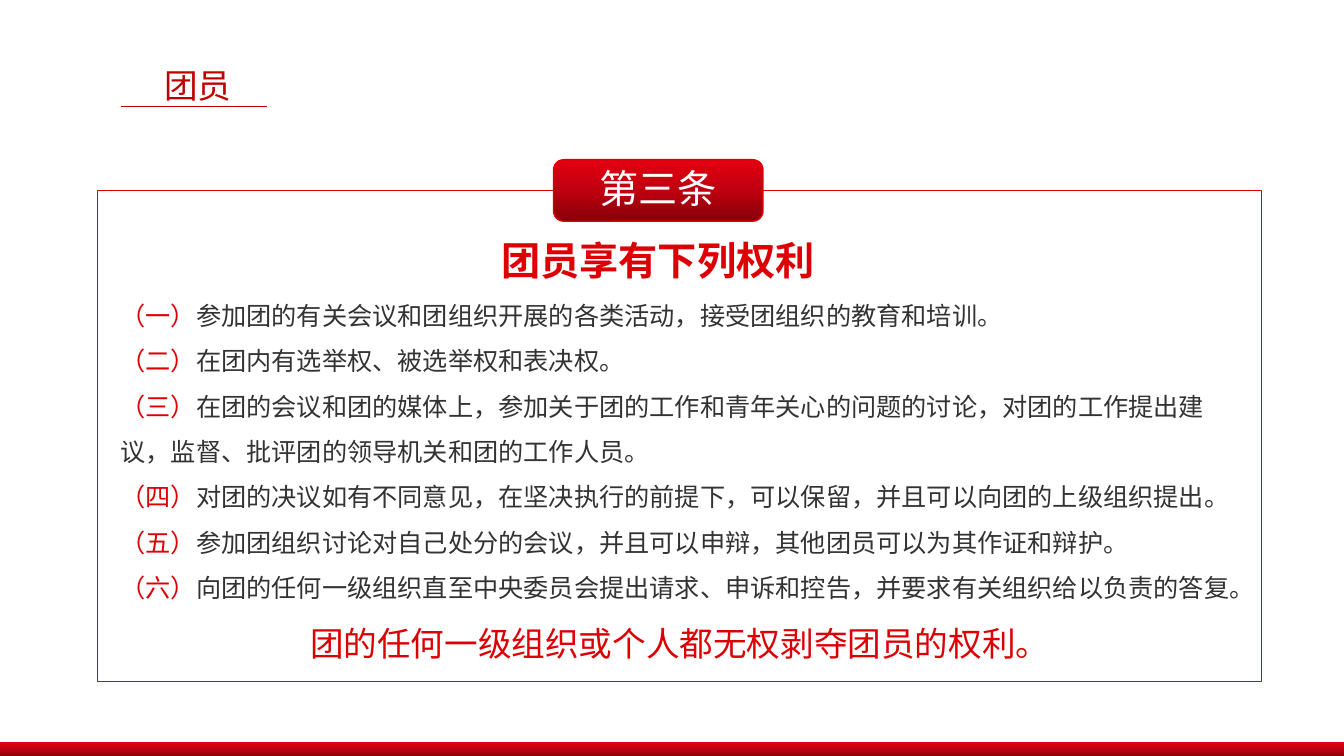
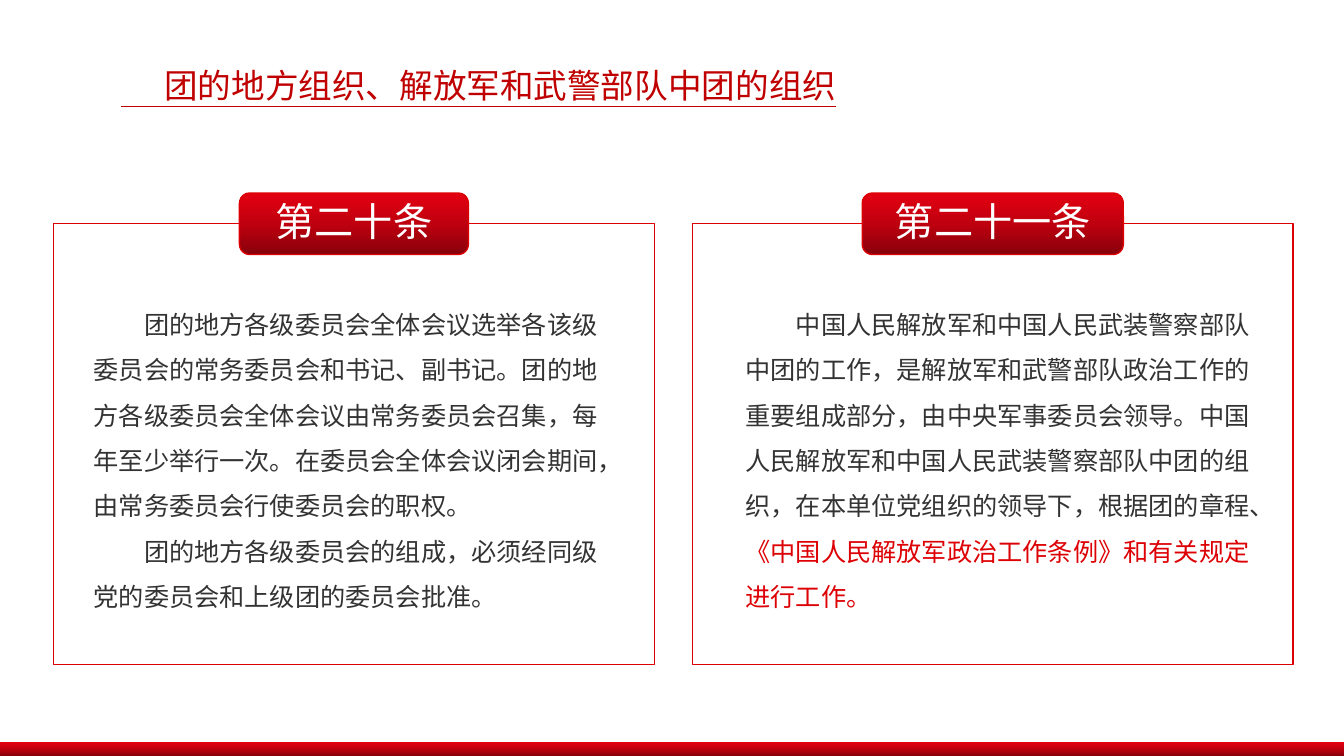
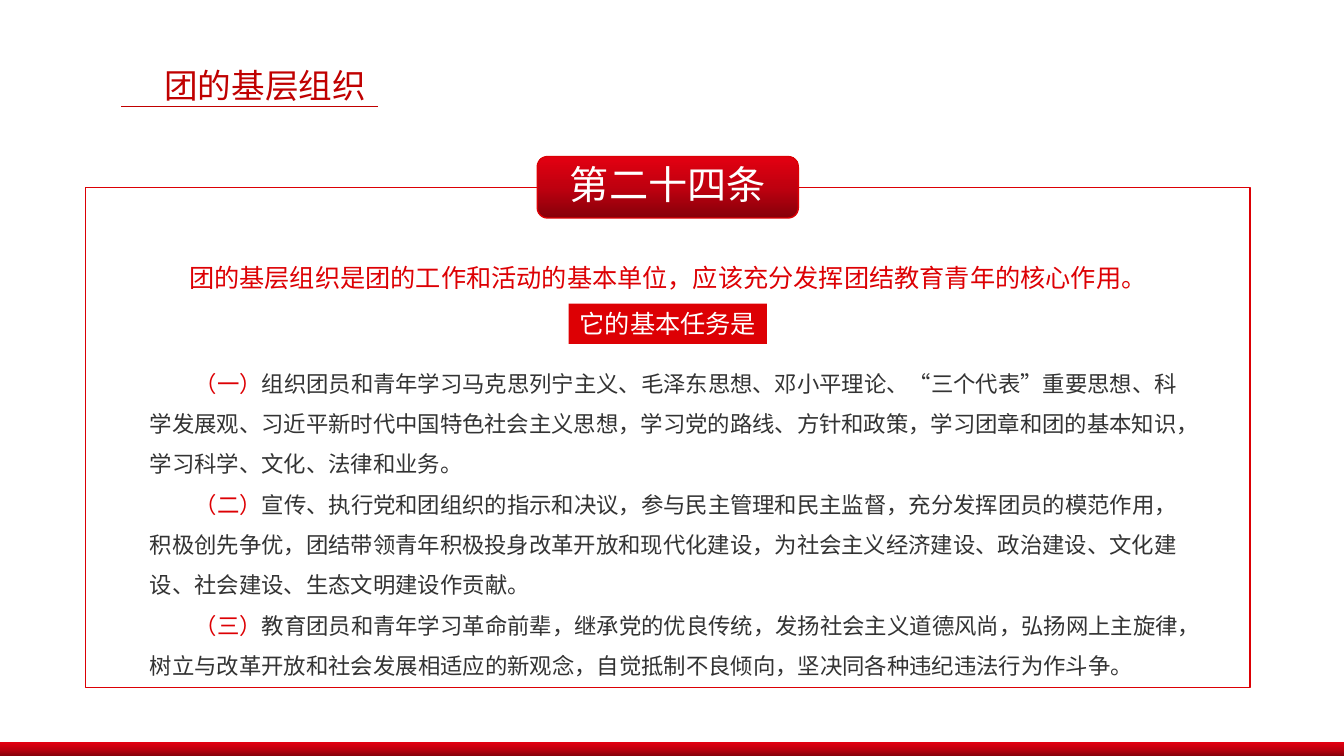
import copy

import pptx
import pptx.dml.color
import pptx.enum.lang
import pptx.enum.shapes
import pptx.enum.text
import pptx.oxml
import pptx.oxml.ns
import pptx.util

Cm, Pt = pptx.util.Cm, pptx.util.Pt
SHAPE = pptx.enum.shapes.MSO_SHAPE
ALIGN = pptx.enum.text.PP_ALIGN
ANCHOR = pptx.enum.text.MSO_ANCHOR

FONT = "Noto Sans CJK SC"
RED, LABEL_RED, TITLE_RED = "DC0005", "DD0004", "C00000"
INK, WHITE = "333333", "FFFFFF"
GRADIENT = [(0, "86000A"), (0.5, "BF000F"), (1, "E30011")]
SLIDE_W, SLIDE_H = 33.87, 19.05
BADGE_H = 1.55

# Content: all places are (left, top, width, height) in cm
RIGHTS = [
    ("（一）", "参加团的有关会议和团组织开展的各类活动，接受团组织的教育和培训。"),
    ("（二）", "在团内有选举权、被选举权和表决权。"),
    ("（三）", "在团的会议和团的媒体上，参加关于团的工作和青年关心的问题的讨论，对团的工作提出建\n"
              "议，监督、批评团的领导机关和团的工作人员。"),
    ("（四）", "对团的决议如有不同意见，在坚决执行的前提下，可以保留，并且可以向团的上级组织提出。"),
    ("（五）", "参加团组织讨论对自己处分的会议，并且可以申辩，其他团员可以为其作证和辩护。"),
    ("（六）", "向团的任何一级组织直至中央委员会提出请求、申诉和控告，并要求有关组织给以负责的答复。"),
]
RIGHTS_CLOSING = "团的任何一级组织或个人都无权剥夺团员的权利。"

LOCAL_COMMITTEES = [
    [("团的地方各级委员会全体会议选举各该级委员会的常务委员会和书记、副书记。"
      "团的地方各级委员会全体会议由常务委员会召集，每年至少举行一次。"
      "在委员会全体会议闭会期间，由常务委员会行使委员会的职权。", INK)],
    [("团的地方各级委员会的组成，必须经同级党的委员会和上级团的委员会批准。", INK)],
]
ARMED_FORCES = [
    [("中国人民解放军和中国人民武装警察部队中团的工作，是解放军和武警部队政治工作的重要组成部分，"
      "由中央军事委员会领导。中国人民解放军和中国人民武装警察部队中团的组织，"
      "在本单位党组织的领导下，根据团的章程、", INK),
     ("《中国人民解放军政治工作条例》和有关规定进行工作。", LABEL_RED)],
]

TASKS = [
    ("（一）", "组织团员和青年学习马克思列宁主义、毛泽东思想、邓小平理论、“三个代表”重要思想、"
              "科学发展观、习近平新时代中国特色社会主义思想，学习党的路线、方针和政策，"
              "学习团章和团的基本知识，学习科学、文化、法律和业务。"),
    ("（二）", "宣传、执行党和团组织的指示和决议，参与民主管理和民主监督，充分发挥团员的模范作用，"
              "积极创先争优，团结带领青年积极投身改革开放和现代化建设，为社会主义经济建设、政治建设、"
              "文化建设、社会建设、生态文明建设作贡献。"),
    ("（三）", "教育团员和青年学习革命前辈，继承党的优良传统，发扬社会主义道德风尚，弘扬网上主旋律，"
              "树立与改革开放和社会发展相适应的新观念，自觉抵制不良倾向，"
              "坚决同各种违纪违法行为作斗争。"),
]

SLIDES = [
    {"title": "团员", "rule_end": 6.73,
     "frames": [{"at": (2.46, 4.8, 29.34, 12.37), "article": "第三条",
                 "badge_w": 5.28, "badge_mid": 16.59}],
     "texts": [
         {"at": (2.79, 7.06, 28.68, 11.02), "size": 18, "spacing": 1.5,
          "paragraphs": [[(mark, RED), (right, INK)] for mark, right in RIGHTS]
          + [{"size": 24, "align": ALIGN.CENTER, "runs": [(RIGHTS_CLOSING, RED)]}]},
         {"at": (12.34, 5.84, 8.48, 1.45), "size": 28, "bold": True, "wrap": False,
          "align": ALIGN.CENTER, "paragraphs": [[("团员享有下列权利", RED)]]},
     ]},
    {"title": "团的地方组织、解放军和武警部队中团的组织", "rule_end": 21.08,
     "frames": [{"at": (1.35, 5.64, 15.14, 11.1), "article": "第二十条", "badge_w": 5.77},
                {"at": (17.45, 5.64, 15.14, 11.1), "article": "第二十一条", "badge_w": 6.58}],
     "texts": [
         {"at": (2.11, 7.29, 13.61, 8.33), "size": 18, "spacing": 1.5, "indent": 2,
          "paragraphs": LOCAL_COMMITTEES},
         {"at": (18.54, 7.29, 13.36, 8.33), "size": 18, "spacing": 1.5, "indent": 2,
          "paragraphs": ARMED_FORCES},
     ]},
    {"title": "团的基层组织", "rule_end": 9.53,
     "frames": [{"at": (2.16, 4.72, 29.34, 12.6), "article": "第二十四条", "badge_w": 6.58}],
     "texts": [
         {"at": (2.49, 6.1, 28.68, 1.27), "size": 18, "spacing": 1.5, "align": ALIGN.CENTER,
          "paragraphs": [[("团的基层组织是团的工作和活动的基本单位，"
                           "应该充分发挥团结教育青年的核心作用。", LABEL_RED)]]},
         {"at": (14.33, 7.65, 5, 1.02), "size": 18, "fill": LABEL_RED, "wrap": False,
          "align": ALIGN.CENTER, "paragraphs": [[("它的基本任务是", WHITE)]]},
         {"at": (3.53, 8.86, 26.59, 8.46), "size": 16, "spacing": 1.5, "indent": 2,
          "paragraphs": [[(mark, LABEL_RED), (task, INK)] for mark, task in TASKS]},
     ]},
]


def rgb(code):
    return pptx.dml.color.RGBColor.from_string(code)


def set_all(target, values):
    for name, value in values.items():
        setattr(target, name, value)


def style_run(run, size, color, bold=False):
    set_all(run.font, {"name": FONT, "size": Pt(size), "bold": bold,
                       "language_id": pptx.enum.lang.MSO_LANGUAGE_ID.SIMPLIFIED_CHINESE})
    run.font.color.rgb = rgb(color)
    east_asian = pptx.oxml.parse_xml(
        f'<a:ea {pptx.oxml.ns.nsdecls("a")} typeface="{FONT}"/>')
    run.font._element.find(pptx.oxml.ns.qn("a:latin")).addnext(east_asian)


def write(frame, paragraphs, size, align=ALIGN.LEFT, spacing=1, indent=0, bold=False):
    """Fill a text frame; indent counts characters, a newline is a soft break."""
    for number, content in enumerate(paragraphs):
        own = content if isinstance(content, dict) else {"runs": content}
        text_size = own.get("size", size)
        paragraph = frame.add_paragraph() if number else frame.paragraphs[0]
        set_all(paragraph, {"alignment": own.get("align", align), "line_spacing": spacing})
        if indent:
            paragraph._p.get_or_add_pPr().set("indent", str(Pt(indent * text_size)))
        for text, color in own["runs"]:
            for part, line in enumerate(text.split("\n")):
                if part:
                    paragraph.add_line_break()
                run = paragraph.add_run()
                run.text = line
                style_run(run, text_size, color, bold)


def add_box(slide, kind, at, fill=None, line=None):
    """Preset shape; without a fill colour it takes the red gradient."""
    box = slide.shapes.add_shape(kind, *map(Cm, at))
    box.shadow.inherit = False
    if fill:
        box.fill.solid()
        box.fill.fore_color.rgb = rgb(fill)
    else:
        box.fill.gradient()
        box.fill.gradient_angle = 90
        stop_list = box.element.spPr.find(".//" + pptx.oxml.ns.qn("a:gsLst"))
        stop_list.append(copy.deepcopy(stop_list[0]))
        for stop, (position, color) in zip(box.fill.gradient_stops, GRADIENT):
            stop.position = position
            stop.color.rgb = rgb(color)
    if line:
        box.line.color.rgb = rgb(line)
        box.line.width = Pt(1)
    else:
        box.line.fill.background()
    return box


def add_text(slide, at, paragraphs, size, fill=None, wrap=True, **style):
    box = slide.shapes.add_textbox(*map(Cm, at))
    if fill:
        box.fill.solid()
        box.fill.fore_color.rgb = rgb(fill)
    box.text_frame.word_wrap = wrap
    write(box.text_frame, paragraphs, size, **style)


def add_title(slide, title, rule_end):
    width = 0.51 + 0.85 * len(title)
    add_text(slide, (3.89, 1.52, width, 1.27), [[(title, TITLE_RED)]], 24, wrap=False)
    rule = slide.shapes.add_connector(pptx.enum.shapes.MSO_CONNECTOR.STRAIGHT,
                                      Cm(3.05), Cm(2.69), Cm(rule_end), Cm(2.69))
    rule.line.color.rgb = rgb(TITLE_RED)
    rule.line.width = Pt(0.5)
    rule.element.spPr.append(
        pptx.oxml.parse_xml(f'<a:effectLst {pptx.oxml.ns.nsdecls("a")}/>'))


def add_article_frame(slide, at, article, badge_w, badge_mid=None):
    """Outlined panel with a badge centred on its top edge."""
    left, top, width, _ = at
    add_box(slide, SHAPE.RECTANGLE, at, WHITE, RED)
    middle = badge_mid or left + width / 2
    badge = add_box(slide, SHAPE.ROUNDED_RECTANGLE,
                    (middle - badge_w / 2, top - BADGE_H / 2, badge_w, BADGE_H), line=RED)
    set_all(badge.text_frame, {"vertical_anchor": ANCHOR.MIDDLE, "word_wrap": True,
                               "margin_top": 0, "margin_bottom": 0})
    write(badge.text_frame, [[(article, WHITE)]], 28, ALIGN.CENTER, 0.9)


def main():
    deck = pptx.Presentation()
    set_all(deck, {"slide_width": Cm(SLIDE_W), "slide_height": Cm(SLIDE_H)})
    for number, content in enumerate(SLIDES):
        slide = deck.slides.add_slide(deck.slide_layouts[6])
        if number == 0:
            # Footer band, moved to the master so that every slide shows it
            band = add_box(slide, SHAPE.RECTANGLE, (0, 18.71, SLIDE_W, SLIDE_H - 18.71))
            deck.slide_master.element.cSld.spTree.append(band.element)
        for frame in content["frames"]:
            add_article_frame(slide, **frame)
        for text in content["texts"]:
            add_text(slide, **text)
        add_title(slide, content["title"], content["rule_end"])
    deck.save("out.pptx")


if __name__ == "__main__":
    main()
